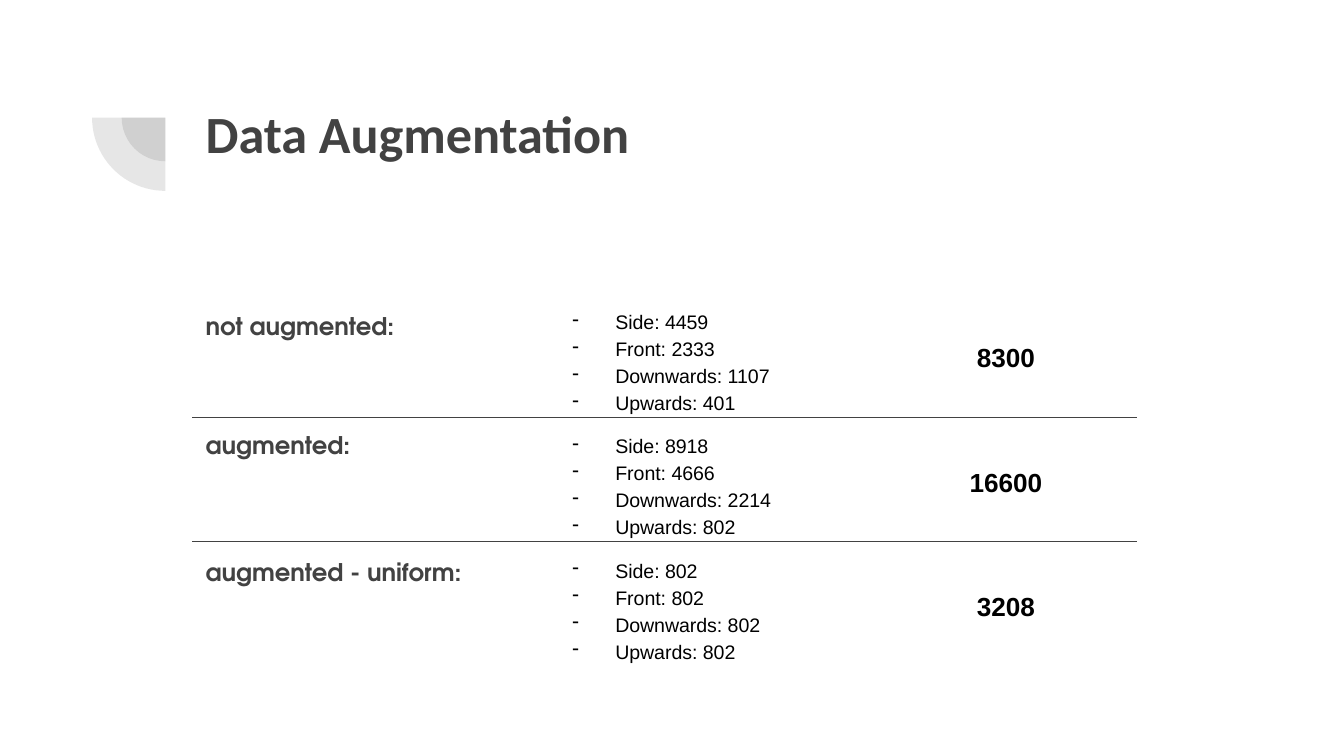
"""Build the data augmentation slide with three groups of counts."""
from lxml.etree import SubElement
from pptx import Presentation
from pptx.dml.color import RGBColor
from pptx.enum.shapes import MSO_CONNECTOR, MSO_SHAPE
from pptx.enum.text import MSO_ANCHOR, MSO_AUTO_SIZE, PP_ALIGN
from pptx.oxml.ns import qn
from pptx.util import Inches, Pt

TITLE = "Data Augmentation"
VIEWS = ("Side", "Front", "Downwards", "Upwards")
GROUPS = [
    ("not augmented:", (4459, 2333, 1107, 401), 8300, 0),
    ("augmented:", (8918, 4666, 2214, 802), 16600, 46),
    ("augmented - uniform:", (802, 802, 802, 802), 3208, 50),
]
GREY = RGBColor(0x42, 0x42, 0x42)
BLACK = RGBColor(0, 0, 0)
LEFT, MID, RIGHT = 1.43, 3.98, 6.51
WIDE, CELL = 7.69, 1.95
TOP, ROW = 2.18, 0.925
HUB = (1.23, 0.875)


def place(shape, left, top, width, height):
    shape.left, shape.top = Inches(left), Inches(top)
    shape.width, shape.height = Inches(width), Inches(height)


def write(shape, lines, size, font, color, bold=False, space=1.15, bullet=None):
    frame = shape.text_frame
    frame.text = "\n".join(lines)
    frame.word_wrap = True
    frame.auto_size = MSO_AUTO_SIZE.NONE
    frame.vertical_anchor = MSO_ANCHOR.TOP
    frame.margin_left = frame.margin_right = Inches(0.1)
    frame.margin_top = frame.margin_bottom = Inches(0.1)
    for para in frame.paragraphs:
        props = para._p.get_or_add_pPr()
        props.set("marL", str(Inches(0.5) if bullet else 0))
        props.set("indent", str(Inches(-0.32) if bullet else 0))
        if bullet:
            SubElement(props, qn("a:buChar"), char=bullet)
        else:
            SubElement(props, qn("a:buNone"))
        para.alignment = PP_ALIGN.LEFT
        para.line_spacing = space
        para.space_before = Pt(0)
        for run in para.runs:
            run.font.size, run.font.name = Pt(size), font
            run.font.bold, run.font.color.rgb = bold, color
    return frame


def add_box(slide, left, top):
    return slide.shapes.add_textbox(
        Inches(left), Inches(top), Inches(CELL), Inches(ROW))


def add_pie(slide, size):
    pie = slide.shapes.add_shape(MSO_SHAPE.PIE, 0, 0, 0, 0)
    place(pie, HUB[0] - size / 2, HUB[1] - size / 2, size, size)
    pie.adjustments[0], pie.adjustments[1] = 54, 108
    pie.shadow.inherit = False
    pie.line.fill.background()
    pie.fill.solid()
    pie.fill.fore_color.rgb = GREY
    tint = pie.fill._xPr.find(".//" + qn("a:srgbClr"))
    SubElement(tint, qn("a:alpha"), val="13000")


def add_rule(slide, top):
    rule = slide.shapes.add_connector(
        MSO_CONNECTOR.STRAIGHT, Inches(LEFT), Inches(top),
        Inches(RIGHT + CELL), Inches(top))
    rule.line.color.rgb = GREY
    rule.line.width = Pt(0.75)
    SubElement(rule._element.spPr, qn("a:effectLst"))


def main():
    deck = Presentation()
    deck.slide_width, deck.slide_height = Inches(10), Inches(5.625)
    slide = deck.slides.add_slide(deck.slide_layouts[1])
    title, body = slide.placeholders
    for size in (0.65, 1.09):
        add_pie(slide, size)
    place(title, LEFT, 0.65, WIDE, 1.09)
    write(title, [TITLE], 28, "Calibri", GREY, True, 1)
    place(body, LEFT, TOP, WIDE, 3.19)
    names = write(body, [group[0] for group in GROUPS],
                  13, "TeX Gyre Adventor", GREY, True)
    for row, (_, counts, total, gap) in enumerate(GROUPS):
        top = TOP + row * ROW
        names.paragraphs[row].space_before = Pt(gap)
        lines = [f"{view}: {count}" for view, count in zip(VIEWS, counts)]
        write(add_box(slide, MID, top), lines, 10.5, "Arial", BLACK, bullet="-")
        frame = write(add_box(slide, RIGHT, top), [str(total)],
                      14, "Arial", BLACK, True)
        frame.vertical_anchor = MSO_ANCHOR.MIDDLE
        frame.paragraphs[0].alignment = PP_ALIGN.CENTER
        frame.paragraphs[0].space_after = Pt(16)
        if row:
            add_rule(slide, top)
    deck.save("out.pptx")


if __name__ == "__main__":
    main()
